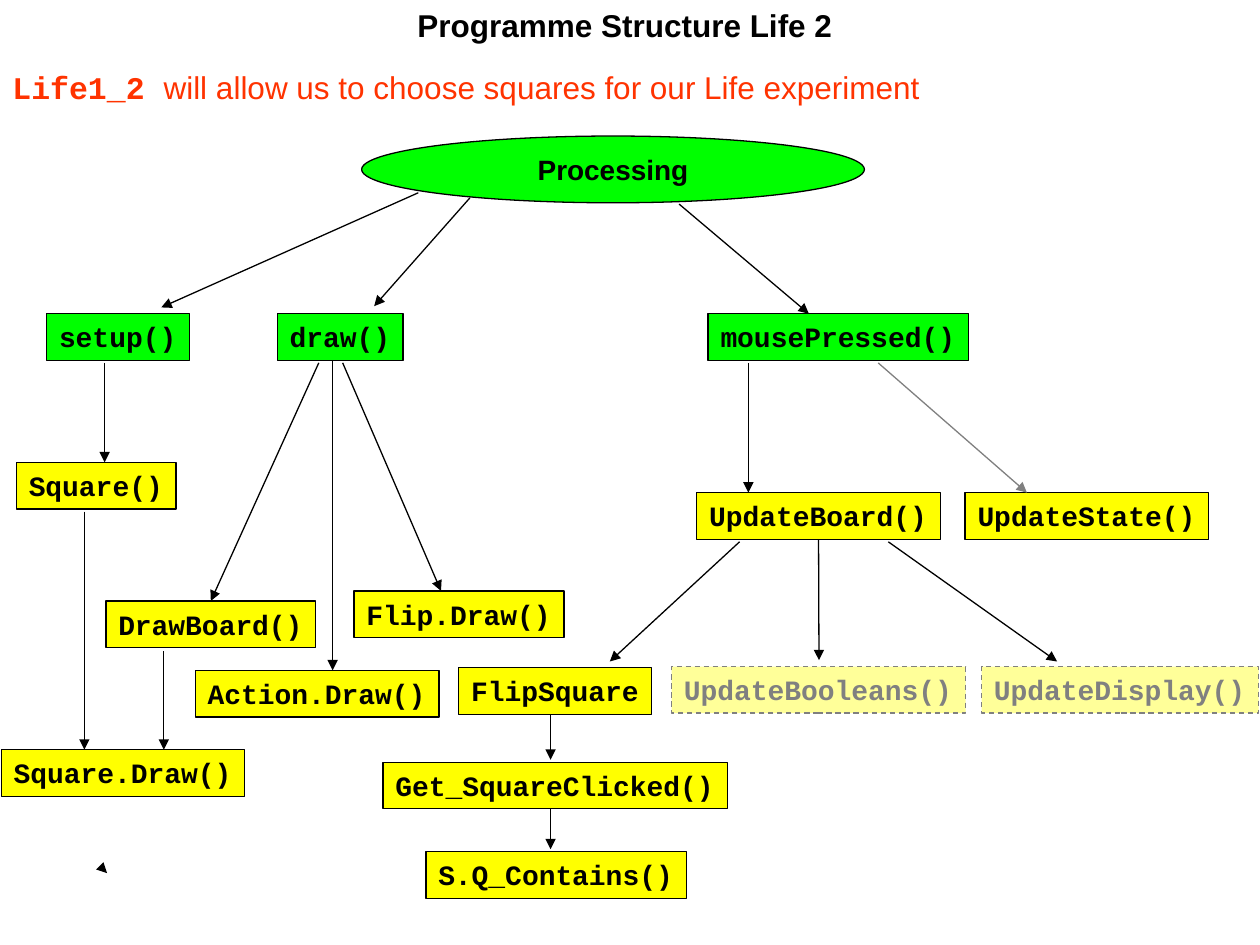
"""Build the call-structure slide for the second Life programme."""
from lxml import etree
from pptx import Presentation
from pptx.dml.color import RGBColor
from pptx.enum.dml import MSO_LINE
from pptx.enum.shapes import MSO_CONNECTOR, MSO_SHAPE
from pptx.enum.text import MSO_ANCHOR, MSO_AUTO_SIZE, PP_ALIGN
from pptx.oxml.ns import qn
from pptx.util import Inches, Pt

RECT, OVAL = MSO_SHAPE.RECTANGLE, MSO_SHAPE.OVAL
STRAIGHT, DASH = MSO_CONNECTOR.STRAIGHT, MSO_LINE.DASH
TOP, MIDDLE = MSO_ANCHOR.TOP, MSO_ANCHOR.MIDDLE
LEFT, CENTER = PP_ALIGN.LEFT, PP_ALIGN.CENTER
GROW, FIXED = MSO_AUTO_SIZE.SHAPE_TO_FIT_TEXT, MSO_AUTO_SIZE.NONE
SANS, MONO = "Arial", "Courier New"
COLORS = {
    "black": "000000", "grey": "808080", "green": "00FF00",
    "yellow": "FFFF00", "pale": "FFFF99", "red": "FF3300",
}
RGB = {name: RGBColor.from_string(code) for name, code in COLORS.items()}

prs = Presentation()
prs.slide_width, prs.slide_height = Inches(10), Inches(7.5)
CELL = prs.slide_width / 100
BOX_H = 3.7
CHAR_W = 4 / 3


def grid(*cells):
    return [round(c * CELL) for c in cells]


def write(sp, runs, size, anchor=TOP, align=LEFT, fit=GROW):
    tf = sp.text_frame
    frame = {"word_wrap": False, "auto_size": fit, "vertical_anchor": anchor}
    for name, value in frame.items():
        setattr(tf, name, value)
    p = tf.paragraphs[0]
    p.alignment = align
    for text, font, bold, color in runs:
        r = p.add_run()
        r.text = text
        for name, value in {"name": font, "size": Pt(size), "bold": bold}.items():
            setattr(r.font, name, value)
        r.font.color.rgb = RGB[color]


s = prs.slides.add_slide(prs.slide_layouts[5])
title = s.shapes.title
title.left, title.top, title.width, title.height = grid(30.6, 0, 38, 4)
write(title, [("Programme Structure Life 2", SANS, True, "black")], 18, TOP, CENTER)

intro = s.shapes.add_textbox(*grid(0, 4.9, 74.7, 4))
write(intro, [
    ("Life1_2 ", MONO, True, "red"),
    ("will allow us to choose squares for our Life experiment", SANS, False, "red"),
], 18)

root = s.shapes.add_shape(OVAL, *grid(28.7, 10.8, 39.9, 5.3))
root.shadow.inherit = False
root.fill.solid()
root.fill.fore_color.rgb = RGB["green"]
root.line.color.rgb = RGB["black"]
root.line.width = Pt(0.75)
write(root, [("Processing", SANS, True, "black")], 16, MIDDLE, CENTER, FIXED)

calls = [
    ("setup()", 3.7, 24.9, "green"),
    ("draw()", 22, 24.9, "green"),
    ("mousePressed()", 56.2, 24.9, "green"),
    ("Square()", 1.3, 36.7, "yellow"),
    ("UpdateBoard()", 55.3, 39.1, "yellow"),
    ("UpdateState()", 76.6, 39.1, "yellow"),
    ("DrawBoard()", 8.4, 47.7, "yellow"),
    ("Flip.Draw()", 28.1, 46.9, "yellow"),
    ("Action.Draw()", 15.5, 53.2, "yellow"),
    ("FlipSquare", 36.4, 53, "yellow"),
    ("UpdateBooleans()", 53.3, 52.9, "pale"),
    ("UpdateDisplay()", 77.9, 52.9, "pale"),
    ("Square.Draw()", 0.1, 59.5, "yellow"),
    ("Get_SquareClicked()", 30.4, 60.5, "yellow"),
    ("S.Q_Contains()", 33.8, 67.6, "yellow"),
]
boxes = {}
for text, x, y, fill in calls:
    ink = "grey" if fill == "pale" else "black"
    sp = s.shapes.add_shape(RECT, *grid(x, y, len(text) * CHAR_W + 2, BOX_H))
    sp.shadow.inherit = False
    sp.fill.solid()
    sp.fill.fore_color.rgb = RGB[fill]
    sp.line.color.rgb = RGB[ink]
    sp.line.width = Pt(0.75)
    if fill == "pale":
        sp.line.dash_style = DASH
    write(sp, [(text, MONO, True, ink)], 16)
    boxes[text] = sp

arrows = [
    (33.2, 15.3, 12.8, 24.4, "black", None, None),
    (37.3, 15.7, 29.7, 24.3, "black", None, None),
    (53.9, 16.2, 64.2, 24.9, "black", None, None),
    (8.3, 28.8, 8.3, 36.7, "black", None, None),
    (25.3, 28.8, 16.9, 47.7, "black", None, "DrawBoard()"),
    (26.4, 28.6, 26.4, 53.2, "black", None, None),
    (27.2, 28.8, 35, 46.9, "black", None, None),
    (59.4, 28.8, 59.4, 39.1, "black", None, None),
    (69.7, 28.8, 81.5, 39.1, "grey", None, None),
    (6.7, 40.6, 6.7, 59.5, "black", None, None),
    (13, 51.7, 13, 59.5, "black", None, None),
    (58.7, 43, 48.4, 52.5, "black", None, None),
    (65, 42.8, 65, 52.4, "black", "UpdateBoard()", None),
    (70.5, 43, 83.9, 52.5, "black", None, None),
    (43.7, 56.7, 43.7, 60.3, "black", None, None),
    (43.7, 64.2, 43.7, 67.4, "black", None, None),
    (8.4, 69.2, 8.5, 69.3, "black", None, None),
]
for x1, y1, x2, y2, color, source, target in arrows:
    cxn = s.shapes.add_connector(STRAIGHT, *grid(x1, y1, x2, y2))
    cxn.line.color.rgb = RGB[color]
    cxn.line.width = Pt(0.75)
    etree.SubElement(cxn.line._get_or_add_ln(), qn("a:tailEnd"), type="triangle")
    etree.SubElement(cxn._element.spPr, qn("a:effectLst"))
    if source:
        cxn.begin_connect(boxes[source], 2)
    if target:
        cxn.end_connect(boxes[target], 0)

prs.save("out.pptx")
